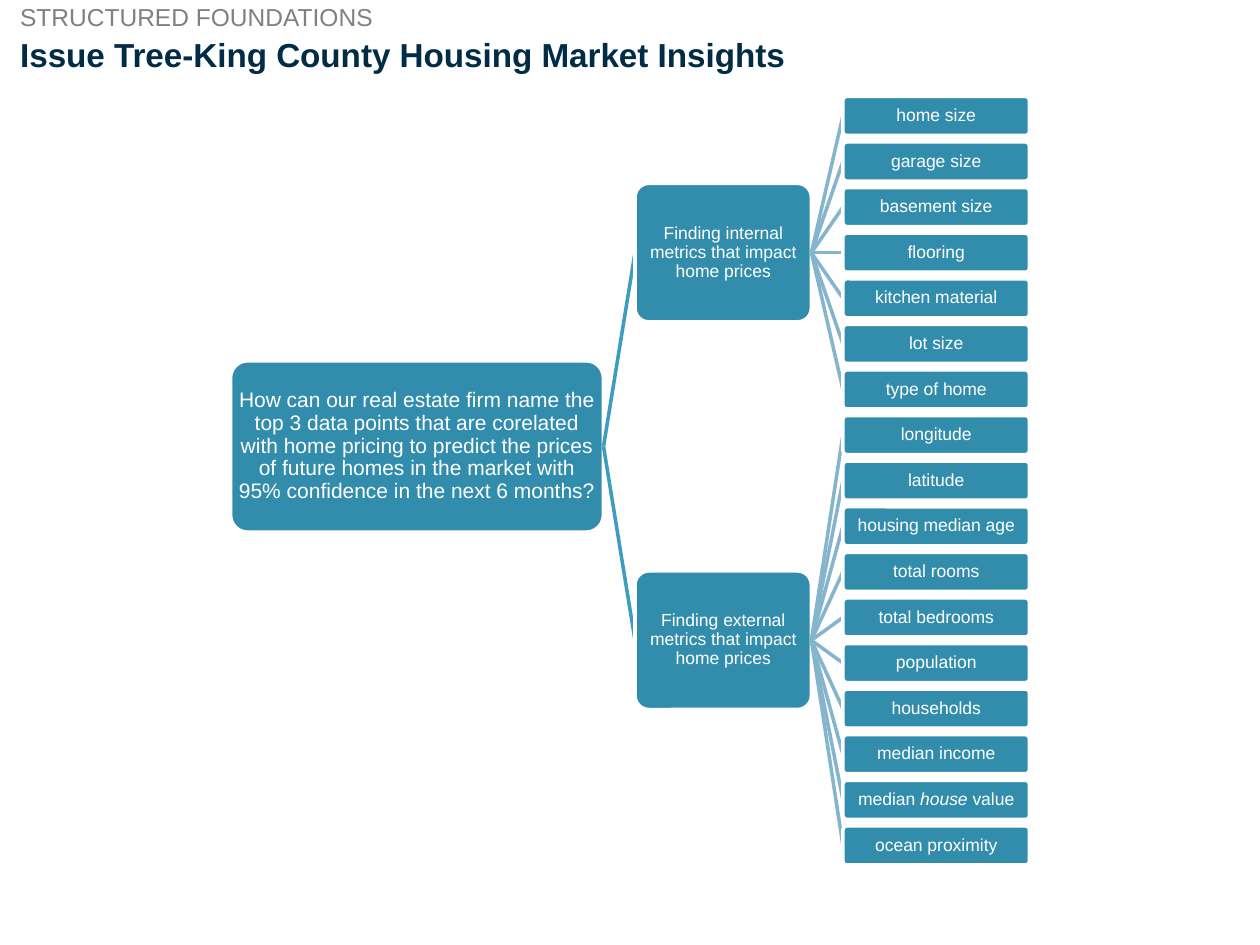
from dataclasses import dataclass, field

from lxml import etree
from pptx import Presentation
from pptx import util as u
from pptx.dml.color import RGBColor
from pptx.enum import shapes, text
from pptx.oxml import ns

FONT = "Arial"
COLORS = {
    "box": "328DAC",
    "white": "FFFFFF",
    "branch_link": "3E9CBE",
    "leaf_link": "85B5CC",
    "title": "002C46",
    "section": "808080",
}


@dataclass(frozen=True)
class Level:
    """Look of one column of the tree; lengths are in inches."""
    left: float
    width: float
    height: float
    font_size: int
    link_color: str = ""


LEVELS = [
    Level(1.83, 2.96, 1.36, 12),
    Level(5.04, 1.4, 1.1, 10, "branch_link"),
    Level(6.69, 1.48, 0.31, 10, "leaf_link"),
]
FIRST_LEAF_MIDDLE, LAST_LEAF_MIDDLE = 0.92, 6.71


@dataclass
class Node:
    """A box of the tree; runs between asterisks are italic."""
    label: str
    children: list["Node"] = field(default_factory=list)
    middle: float = 0


INTERNAL_METRICS = ["home size", "garage size", "basement size", "flooring",
                    "kitchen material", "lot size", "type of home"]
EXTERNAL_METRICS = ["longitude", "latitude", "housing median age", "total rooms",
                    "total bedrooms", "population", "households", "median income",
                    "median *house *value", "ocean proximity"]

TREE = Node(
    "How can our real estate firm name the top 3 data points that are corelated "
    "with home pricing to predict the prices of future homes in the market with "
    "95% confidence in the next 6 months?",
    [
        Node("Finding internal metrics that impact home prices",
             [Node(label) for label in INTERNAL_METRICS]),
        Node("Finding external metrics that impact home prices",
             [Node(label) for label in EXTERNAL_METRICS]),
    ],
)


def color(name: str) -> RGBColor:
    return RGBColor.from_string(COLORS[name])


def format_font(font, size: int, color_name: str, bold: bool = False) -> None:
    font.name = FONT
    font.size = u.Pt(size)
    font.bold = bold
    font.color.rgb = color(color_name)


def set_margins(text_frame, margin: float) -> None:
    text_frame.margin_left = text_frame.margin_right = u.Inches(margin)
    text_frame.margin_top = text_frame.margin_bottom = u.Inches(margin)


def place_tree(root: Node) -> None:
    """Space the leaves evenly and centre each parent on its children."""
    leaves = [leaf for branch in root.children for leaf in branch.children]
    pitch = (LAST_LEAF_MIDDLE - FIRST_LEAF_MIDDLE) / (len(leaves) - 1)
    for index, leaf in enumerate(leaves):
        leaf.middle = FIRST_LEAF_MIDDLE + index * pitch
    for parent in [*root.children, root]:
        parent.middle = (parent.children[0].middle + parent.children[-1].middle) / 2


def draw_box(slide, node: Node, level: Level) -> None:
    shape = slide.shapes.add_shape(
        shapes.MSO_SHAPE.ROUNDED_RECTANGLE,
        u.Inches(level.left), u.Inches(node.middle - level.height / 2),
        u.Inches(level.width), u.Inches(level.height))
    shape.adjustments[0] = 0.1
    shape.shadow.inherit = False
    shape.fill.solid()
    shape.fill.fore_color.rgb = color("box")
    shape.line.color.rgb = color("white")
    shape.line.width = u.Pt(2)

    text_frame = shape.text_frame
    text_frame.word_wrap = True
    text_frame.vertical_anchor = text.MSO_ANCHOR.MIDDLE
    set_margins(text_frame, 0.01)
    paragraph = text_frame.paragraphs[0]
    paragraph.alignment = text.PP_ALIGN.CENTER
    paragraph.line_spacing = 0.9
    for index, part in enumerate(node.label.split("*")):
        run = paragraph.add_run()
        run.text = part
        format_font(run.font, level.font_size, "white")
        run.font.italic = index % 2 == 1


def draw_link(slide, parent: Node, child: Node, start: Level, end: Level) -> None:
    connector = slide.shapes.add_connector(
        shapes.MSO_CONNECTOR.STRAIGHT,
        u.Inches(start.left + start.width), u.Inches(parent.middle),
        u.Inches(end.left), u.Inches(child.middle))
    connector.line.color.rgb = color(end.link_color)
    connector.line.width = u.Pt(2)
    etree.SubElement(connector._element.spPr, ns.qn("a:effectLst"))


def draw_tree(slide, node: Node, depth: int = 0) -> None:
    draw_box(slide, node, LEVELS[depth])
    for child in node.children:
        draw_link(slide, node, child, LEVELS[depth], LEVELS[depth + 1])
        draw_tree(slide, child, depth + 1)


def draw_heading(shape, label: str, bounds: tuple[float, float, float, float],
                 size: int, color_name: str, bold: bool = False) -> None:
    shape.left, shape.top, shape.width, shape.height = map(u.Inches, bounds)
    text_frame = shape.text_frame
    text_frame.text = label
    text_frame.word_wrap = True
    text_frame.vertical_anchor = text.MSO_ANCHOR.TOP
    set_margins(text_frame, 0)
    paragraph = text_frame.paragraphs[0]
    paragraph.alignment = text.PP_ALIGN.LEFT
    format_font(paragraph.runs[0].font, size, color_name, bold)


def main() -> None:
    presentation = Presentation()
    presentation.slide_width = u.Inches(10)
    presentation.slide_height = u.Inches(7.5)
    slide = presentation.slides.add_slide(presentation.slide_layouts[5])

    # Issue tree
    place_tree(TREE)
    draw_tree(slide, TREE)

    # Title and section label
    draw_heading(slide.shapes.title, "Issue Tree-King County Housing Market Insights",
                 (0.16, 0.27, 9.43, 0.33), 19, "title", bold=True)
    section = slide.shapes.add_textbox(0, 0, 0, 0)
    draw_heading(section, "STRUCTURED FOUNDATIONS", (0.16, 0.02, 2.84, 0.24),
                 14, "section")

    presentation.save("out.pptx")


if __name__ == "__main__":
    main()
